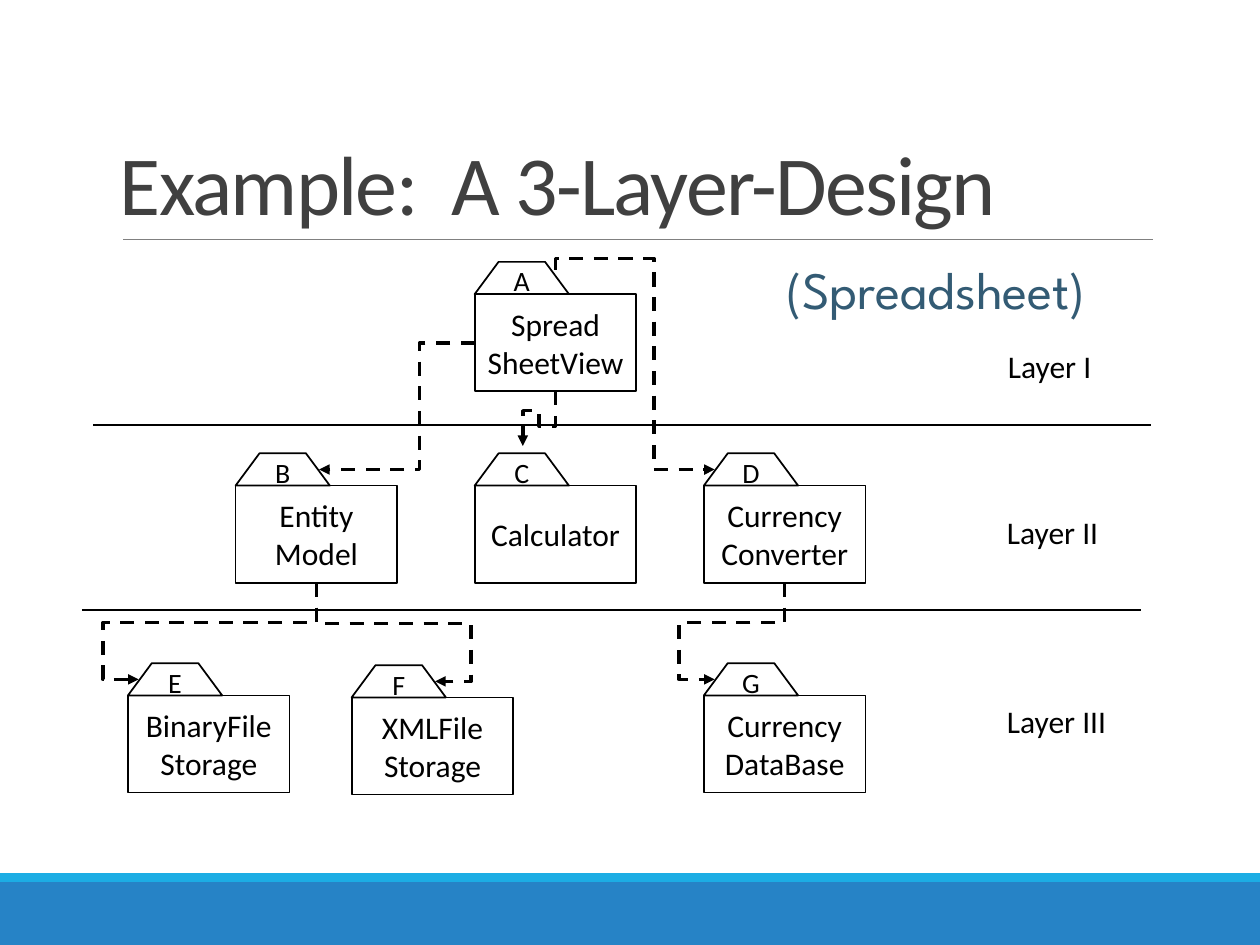
from dataclasses import dataclass

from lxml.etree import SubElement
from pptx import Presentation
from pptx.dml.color import RGBColor
from pptx.enum.dml import MSO_LINE
from pptx.enum.shapes import MSO_CONNECTOR as Connector, MSO_SHAPE as Preset
from pptx.enum.text import MSO_ANCHOR as Anchor, PP_ALIGN as Align
from pptx.oxml.ns import qn
from pptx.shapes.autoshape import Shape
from pptx.slide import Slide
from pptx.util import Cm, Pt

COLORS = {
    "ink": "000000",
    "paper": "FFFFFF",
    "title": "404040",
    "subtitle": "335B74",
    "rule": "808080",
    "footer": "2683C6",
    "accent": "1CADE4",
}
BODY_WIDTH, BODY_HEIGHT = 3.26, 1.96
TAB_WIDTH, TAB_HEIGHT, TAB_SLOPE = 1.9, 0.65, 0.74
INSET = 0.13

Point = tuple[float, float]


@dataclass(frozen=True)
class Package:
    letter: str
    name: str
    left: float
    top: float

    @property
    def body_top(self) -> float:
        return self.top + TAB_HEIGHT

    @property
    def center(self) -> float:
        return self.left + BODY_WIDTH / 2

    @property
    def foot(self) -> Point:
        return self.center, self.body_top + BODY_HEIGHT

    @property
    def body_left(self) -> Point:
        return self.left, self.body_top + BODY_HEIGHT / 2

    @property
    def tab_left(self) -> Point:
        return self.left + TAB_HEIGHT / 3, self.top + TAB_HEIGHT / 2

    @property
    def tab_right(self) -> Point:
        return self.left + TAB_WIDTH - TAB_HEIGHT / 3, self.top + TAB_HEIGHT / 2


@dataclass(frozen=True)
class Label:
    text: str
    left: float
    top: float
    width: float
    height: float
    size: int = 18
    font: str = "Calibri"
    color: str = "ink"
    align: Align = Align.LEFT
    anchor: Anchor = Anchor.TOP
    line_spacing: float = 1.0
    tracking: int = 0


@dataclass(frozen=True)
class Divider:
    left: float
    right: float
    y: float
    color: str = "ink"
    weight: float = 1


def rgb(name: str) -> RGBColor:
    return RGBColor.from_string(COLORS[name])


def write(shape: Shape, text: str, size: int, inset: float = 0, font: str = "Calibri",
          color: str = "ink", align: Align = Align.CENTER, anchor: Anchor = Anchor.MIDDLE,
          line_spacing: float = 1.0, tracking: int = 0) -> None:
    frame = shape.text_frame
    frame.text = text
    frame.word_wrap = False
    frame.vertical_anchor = anchor
    frame.margin_left = frame.margin_right = Cm(inset)
    frame.margin_top = frame.margin_bottom = Cm(inset)
    for para in frame.paragraphs:
        para.alignment = align
        para.line_spacing = line_spacing
        for span in para.runs:
            span.font.size = Pt(size)
            span.font.name = font
            span.font.color.rgb = rgb(color)
            if tracking:
                span.font._element.set("spc", str(tracking))


def draw_preset(page: Slide, preset: Preset, left: float, top: float, width: float,
                height: float, fill: str, outline: str | None = None) -> Shape:
    shape = page.shapes.add_shape(preset, Cm(left), Cm(top), Cm(width), Cm(height))
    shape.shadow.inherit = False
    shape.fill.solid()
    shape.fill.fore_color.rgb = rgb(fill)
    if outline:
        shape.line.color.rgb = rgb(outline)
        shape.line.width = Pt(1)
    else:
        shape.line.fill.background()
    return shape


def draw_package(page: Slide, package: Package) -> None:
    body = draw_preset(page, Preset.RECTANGLE, package.left, package.body_top,
                       BODY_WIDTH, BODY_HEIGHT, "paper", "ink")
    write(body, package.name, 18)
    tab = draw_preset(page, Preset.TRAPEZOID, package.left, package.top,
                      TAB_WIDTH, TAB_HEIGHT, "paper", "ink")
    tab.adjustments[0] = TAB_SLOPE
    write(tab, package.letter, 16)


def draw_label(page: Slide, label: Label) -> None:
    box = page.shapes.add_textbox(Cm(label.left), Cm(label.top), Cm(label.width), Cm(label.height))
    write(box, label.text, label.size, INSET, label.font, label.color, label.align,
          label.anchor, label.line_spacing, label.tracking)


def draw_divider(page: Slide, divider: Divider) -> None:
    line = page.shapes.add_connector(Connector.STRAIGHT, Cm(divider.left), Cm(divider.y),
                                     Cm(divider.right), Cm(divider.y))
    line.line.color.rgb = rgb(divider.color)
    line.line.width = Pt(divider.weight)
    SubElement(line.element.spPr, qn("a:effectLst"))


def draw_dependency(page: Slide, points: list[Point]) -> None:
    start, *rest = [(Cm(x), Cm(y)) for x, y in points]
    builder = page.shapes.build_freeform(*start)
    builder.add_line_segments(rest, close=False)
    route = builder.convert_to_shape()
    route.shadow.inherit = False
    route.fill.background()
    route.line.color.rgb = rgb("ink")
    route.line.width = Pt(2)
    route.line.dash_style = MSO_LINE.DASH
    SubElement(route.element.spPr.find(qn("a:ln")), qn("a:tailEnd"), type="triangle")


def turn(start: Point, lane_y: float, lane_x: float, end: Point) -> list[Point]:
    return [start, (start[0], lane_y), (lane_x, lane_y), (lane_x, end[1]), end]


def main() -> None:
    deck = Presentation()
    deck.slide_width, deck.slide_height = Cm(25.4), Cm(19.05)
    page = deck.slides.add_slide(deck.slide_layouts[6])

    view = Package("A", "Spread\vSheetView", 9.57, 5.28)
    model = Package("B", "Entity\nModel", 4.75, 9.14)
    calculator = Package("C", "Calculator", 9.57, 9.14)
    converter = Package("D", "Currency\nConverter", 14.19, 9.14)
    binary = Package("E", "BinaryFile\vStorage", 2.58, 13.37)
    xml = Package("F", "XMLFile\vStorage", 7.09, 13.41)
    database = Package("G", "Currency\vDataBase", 14.19, 13.37)

    draw_preset(page, Preset.RECTANGLE, 0, 17.78, 25.4, 1.27, "footer")
    draw_preset(page, Preset.RECTANGLE, 0, 17.6, 25.4, 0.18, "accent")

    for divider in (
        Divider(2.48, 23.24, 4.83, "rule", 0.5),
        Divider(1.88, 23.2, 8.57),
        Divider(1.65, 23, 12.29),
    ):
        draw_divider(page, divider)

    for label in (
        Label("Example:  A 3-Layer-Design", 2.29, 0.79, 20.96, 4.04, 48, color="title",
              anchor=Anchor.BOTTOM, line_spacing=0.85, tracking=-100),
        Label("(Spreadsheet)", 15.09, 5.05, 7.57, 1.55, 30, "League Spartan", "subtitle",
              Align.CENTER, Anchor.MIDDLE),
        Label("Layer I", 20.19, 6.86, 2.24, 1.02),
        Label("Layer II", 20.17, 10.21, 2.39, 1.02),
        Label("Layer III", 20.17, 14.02, 2.57, 1.02),
    ):
        draw_label(page, label)

    calculator_entry = 10.54
    for points in (
        [view.body_left, (8.46, view.body_left[1]), (8.46, model.tab_right[1]), model.tab_right],
        [view.foot, (view.center, 8.59), (10.87, 8.59), (10.87, 8.28),
         (calculator_entry, 8.28), (calculator_entry, 8.99)],
        turn((view.center, view.body_top), 5.21, 13.18, converter.tab_left),
        turn(converter.foot, 12.55, 13.69, database.tab_left),
        turn(model.foot, 12.57, 9.5, xml.tab_right),
        turn(model.foot, 12.55, 2.08, binary.tab_left),
    ):
        draw_dependency(page, points)

    for package in (view, model, calculator, converter, binary, xml, database):
        draw_package(page, package)

    deck.save("out.pptx")


if __name__ == "__main__":
    main()
